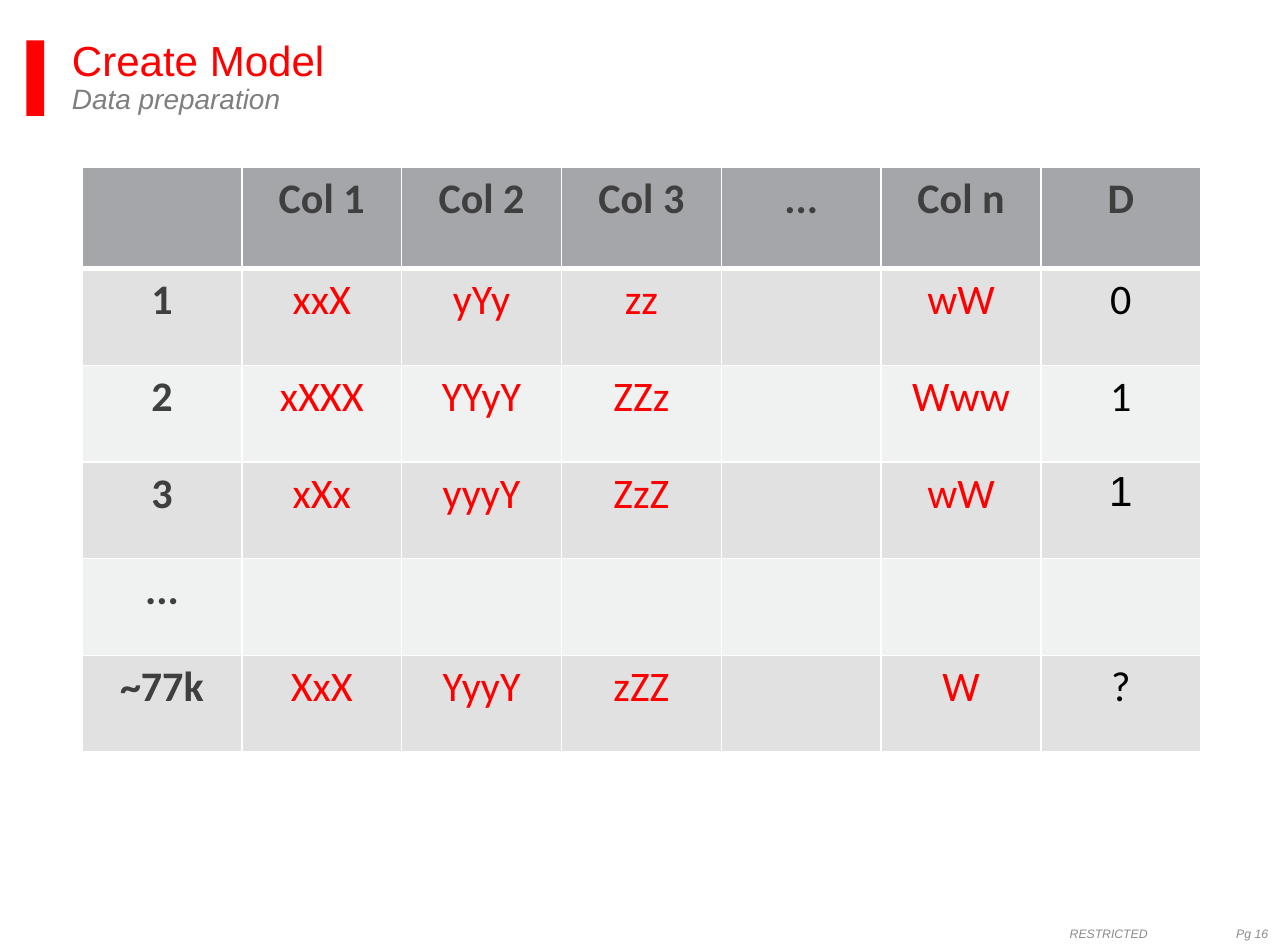
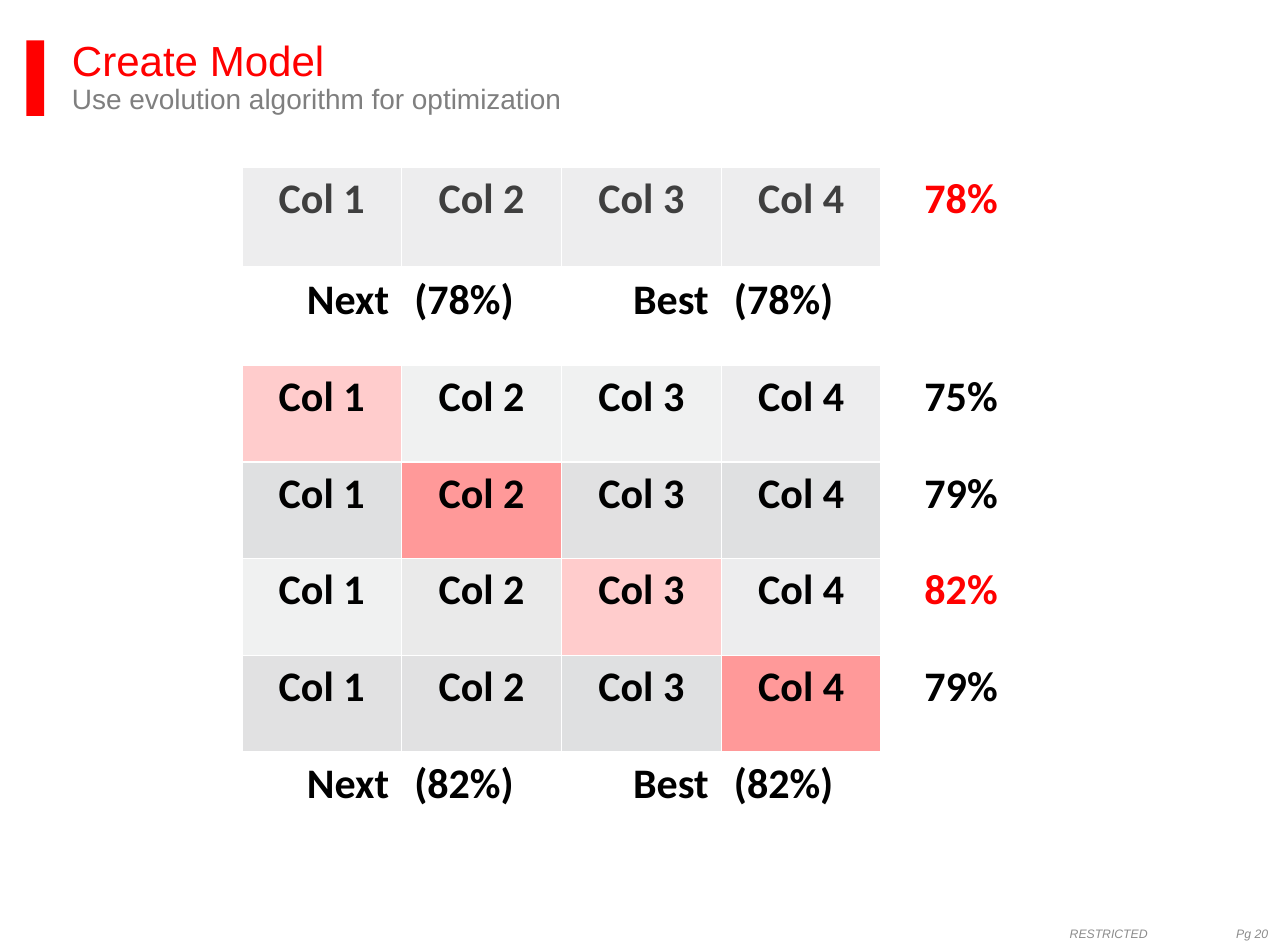
from lxml.etree import SubElement
from pptx import Presentation
from pptx.dml.color import RGBColor
from pptx.enum.shapes import MSO_SHAPE
from pptx.enum.text import MSO_ANCHOR, MSO_AUTO_SIZE, PP_ALIGN
from pptx.oxml.ns import qn
from pptx.util import Emu, Pt

EMU_PER_PX = 9144
WIDTH, HEIGHT = 1021, 750

COLORS = {
    "red": "FF0000",
    "rose": "FF9999",
    "pink": "FFCCCC",
    "white": "FFFFFF",
    "black": "000000",
    "charcoal": "3F3F3F",
    "subtitle": "7F7F7F",
    "footer": "8C8C8C",
    "header": "A5A6A9",
    "band": "E1E1E2",
    "cool": "DFE0E1",
    "neutral": "EAEAEA",
    "pale": "EDEDEE",
    "light": "F0F1F1",
}

FORMATS = {
    "title": {"name": "Arial", "size": Pt(24), "bold": False, "italic": False},
    "subtitle": {"name": "Arial", "size": Pt(16), "bold": False},
    "footer": {"name": "Arial", "size": Pt(7), "italic": True},
    "cell": {"name": "Calibri", "size": Pt(24), "italic": False},
}


def px(length):
    return Emu(round(length * EMU_PER_PX))


def rgb(color):
    return RGBColor.from_string(COLORS[color])


def set_attributes(target, values):
    for name, value in values.items():
        setattr(target, name, value)


class Deck:
    def __init__(self):
        self.presentation = Presentation()
        set_attributes(self.presentation, {"slide_width": px(WIDTH), "slide_height": px(HEIGHT)})
        self.slide = None

    def add_slide(self, subtitle, page, italic=False):
        self.slide = self.presentation.slides.add_slide(self.presentation.slide_layouts[5])
        self.bar()
        self.title("Create Model", subtitle, italic)
        self.footer(page)

    def run(self, paragraph, text, style, color, **changes):
        run = paragraph.add_run()
        run.text = text
        set_attributes(run.font, FORMATS[style] | changes)
        run.font.color.rgb = rgb(color)

    def bar(self):
        shape = self.slide.shapes.add_shape(MSO_SHAPE.RECTANGLE, px(21), px(32), px(14), px(60))
        shape.shadow.inherit = False
        shape.fill.solid()
        shape.fill.fore_color.rgb = rgb("red")
        shape.line.fill.background()

    def title(self, heading, subtitle, italic):
        title = self.slide.shapes.title
        set_attributes(title, {"left": px(57), "top": px(32), "width": px(950), "height": px(75)})
        set_attributes(title.text_frame, {
            "margin_left": 0, "margin_top": 0, "margin_right": 0, "margin_bottom": px(2),
            "vertical_anchor": MSO_ANCHOR.TOP, "auto_size": MSO_AUTO_SIZE.NONE,
            "word_wrap": True,
        })
        paragraph = title.text_frame.paragraphs[0]
        set_attributes(paragraph, {"alignment": PP_ALIGN.LEFT, "line_spacing": 0.9})
        self.run(paragraph, heading, "title", "red")
        paragraph.add_line_break()
        self.run(paragraph, subtitle, "subtitle", "subtitle", italic=italic)

    def footer(self, page):
        box = self.slide.shapes.add_textbox(px(848), px(720), px(173), px(40))
        set_attributes(box.text_frame, {
            "margin_left": 0, "margin_right": 0,
            "vertical_anchor": MSO_ANCHOR.MIDDLE, "word_wrap": True,
        })
        paragraph = box.text_frame.paragraphs[0]
        paragraph.alignment = PP_ALIGN.LEFT
        self.run(paragraph, f"RESTRICTED\tPg {page}", "footer", "footer")
        properties = paragraph._p.get_or_add_pPr()
        tabs = SubElement(properties, qn("a:tabLst"))
        SubElement(tabs, qn("a:tab"), pos=str(px(132)), algn="l")

    def borders(self, cell, row):
        properties = cell._tc.get_or_add_tcPr()
        widths = {"L": 1, "R": 1, "T": 3 if row == 1 else 1, "B": 3 if row == 0 else 1}
        for side, width in widths.items():
            line = SubElement(properties, qn(f"a:ln{side}"), w=str(Pt(width)))
            fill = SubElement(line, qn("a:solidFill"))
            SubElement(fill, qn("a:srgbClr"), val=COLORS["white"])

    def table(self, rows, style_of):
        height, header_height = 540, 80
        table = self.slide.shapes.add_table(
            len(rows), len(rows[0]), px(65), px(133), px(887), px(height)
        ).table
        set_attributes(table, {"first_row": False, "horz_banding": False})
        for index, row in enumerate(table.rows):
            row.height = px((height - header_height) / (len(rows) - 1) if index else header_height)
        for row, texts in enumerate(rows):
            for column, text in enumerate(texts):
                cell = table.cell(row, column)
                style = style_of(row, column, text)
                self.borders(cell, row)
                cell.fill.solid()
                cell.fill.fore_color.rgb = rgb(style["fill"])
                if text:
                    paragraph = cell.text_frame.paragraphs[0]
                    paragraph.alignment = style.get("alignment", PP_ALIGN.CENTER)
                    self.run(paragraph, text, "cell", style["color"], **style["font"])


DATA_ROWS = [
    ["", "Col 1", "Col 2", "Col 3", "...", "Col n", "D"],
    ["1", "xxX", "yYy", "zz", "", "wW", "0"],
    ["2", "xXXX", "YYyY", "ZZz", "", "Www", "1"],
    ["3", "xXx", "yyyY", "ZzZ", "", "wW", "1"],
    ["...", "", "", "", "", "", ""],
    ["~77k", "XxX", "YyyY", "zZZ", "", "W", "?"],
    [""] * 7,
]

COLUMNS = ["Col 1", "Col 2", "Col 3", "Col 4"]


def candidate(score):
    return ["", *COLUMNS, score, ""]


def summary(score):
    return ["", "Next", score, "Best", score, "", ""]


EVOLUTION_ROWS = [
    candidate("78%"),
    summary("(78%)"),
    *map(candidate, ["75%", "79%", "82%", "79%"]),
    summary("(82%)"),
]

EVOLUTION_FILLS = {
    0: ["pale"] * 4,
    2: ["pink", "light", "light", "pale"],
    3: ["cool", "rose", "band", "cool"],
    4: ["light", "neutral", "pink", "pale"],
    5: ["band", "band", "cool", "rose"],
}


def data_style(row, column, text):
    label = row == 0 or column == 0
    fills = ["header", "band", "light", "band", "light", "band", "white"]
    font = {"bold": label}
    if (row, column) == (3, 6):
        font["name"] = "Arial"
    color = "charcoal" if label else "black" if column == 6 else "red"
    return {"fill": fills[row], "color": color, "font": font}


def evolution_style(row, column, text):
    inside = row in EVOLUTION_FILLS and 1 <= column <= 4
    style = {
        "fill": EVOLUTION_FILLS[row][column - 1] if inside else "white",
        "color": "red" if text in ("78%", "82%") else "black" if row else "charcoal",
        "font": {"bold": True},
    }
    if row in (1, 6):
        style["alignment"] = PP_ALIGN.RIGHT if column % 2 else PP_ALIGN.LEFT
    return style


def main():
    deck = Deck()
    deck.add_slide("Data preparation", 16, italic=True)
    deck.table(DATA_ROWS, data_style)
    deck.add_slide("Use evolution algorithm for optimization", 20)
    deck.table(EVOLUTION_ROWS, evolution_style)
    deck.presentation.save("out.pptx")


if __name__ == "__main__":
    main()
